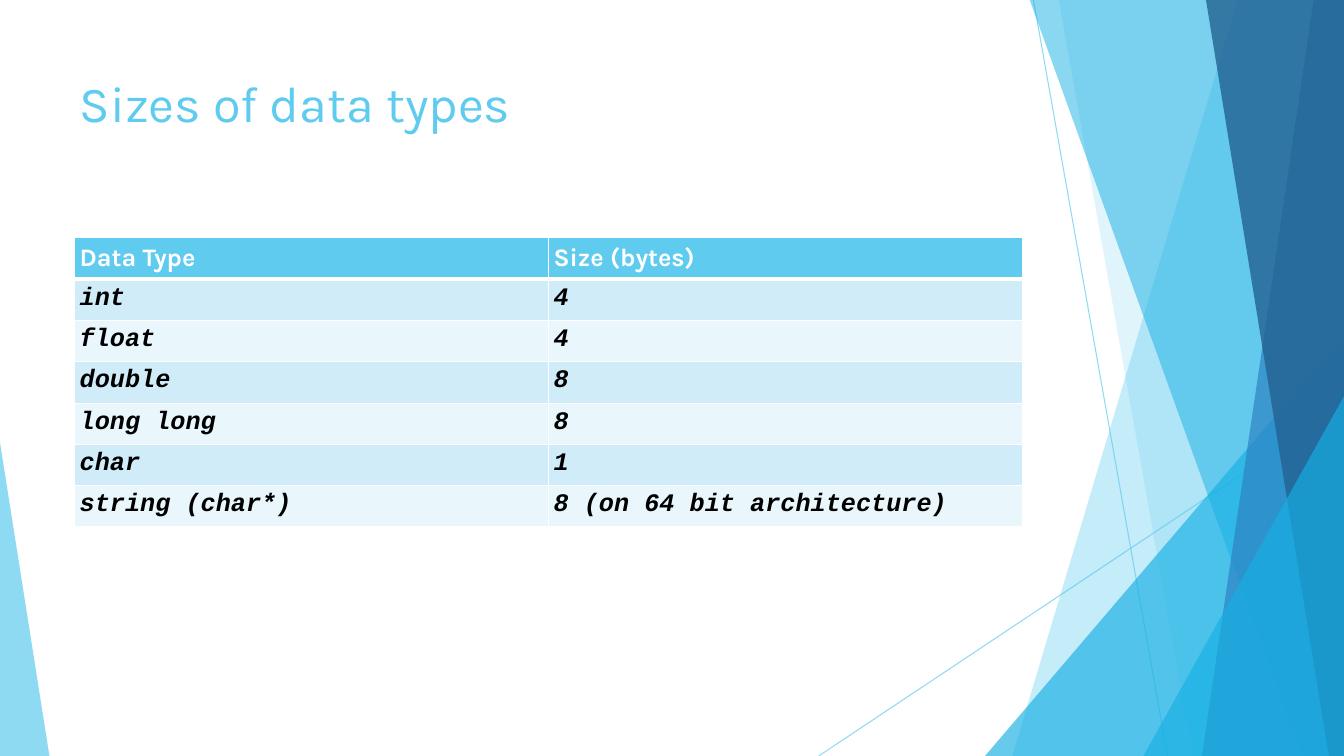
from dataclasses import dataclass

from pptx import Presentation
from pptx.dml.color import RGBColor
from pptx.enum.shapes import MSO_CONNECTOR
from pptx.enum.text import MSO_ANCHOR
from pptx.oxml.ns import qn
from pptx.oxml.xmlchemy import OxmlElement
from pptx.util import Pt

PX = 9144  # 100 px to the inch


@dataclass(frozen=True)
class Theme:
    sky: str = "5FCBEF"
    cyan: str = "17B0E4"
    blue: str = "2E83C3"
    navy: str = "236292"
    odd_row: str = "D1ECF9"
    even_row: str = "E9F6FC"
    white: str = "FFFFFF"
    black: str = "000000"
    sans: str = "Karla"
    mono: str = "Courier New"
    title_size: int = 36
    table_size: int = 18


theme = Theme()


def set_opacity(shape, percent):
    alpha = OxmlElement("a:alpha")
    alpha.set("val", str(percent * 1000))
    shape._element.spPr.find(".//" + qn("a:srgbClr")).append(alpha)


def style_run(run, font_name, size, color, bold=False, italic=False):
    run.font.name = font_name
    run.font.size = Pt(size)
    run.font.color.rgb = RGBColor.from_string(color)
    run.font.bold = bold
    run.font.italic = italic


prs = Presentation()
prs.slide_width, prs.slide_height = 1333 * PX, 750 * PX
slide = prs.slides.add_slide(prs.slide_layouts[6])
shapes = slide.shapes

# Thin crossing lines
for x1, y1, x2, y2 in [(1025, 0, 1158, 750), (1333, 403, 812, 750)]:
    ray = shapes.add_connector(
        MSO_CONNECTOR.STRAIGHT, x1 * PX, y1 * PX, x2 * PX, y2 * PX)
    ray.line.color.rgb = RGBColor.from_string(theme.sky)
    ray.line.width = Pt(0.75)
    set_opacity(ray, 70)
    ray._element.spPr.append(OxmlElement("a:effectLst"))

# Translucent facets: outline, colour, opacity in percent
right_edge = [(1333, -1), (1333, 750)]
facets = [
    ([(1228, -1), *right_edge, (1004, 750)], theme.sky, 36),
    ([(1050, -1), *right_edge, (1183, 750)], theme.sky, 20),
    ([(977, 750), (1333, 333), (1333, 750)], theme.cyan, 66),
    ([(1021, -1), *right_edge, (1291, 750)], theme.cyan, 50),
    ([(1303, -1), *right_edge, (1192, 750)], theme.blue, 70),
    ([(1196, -1), *right_edge, (1318, 750)], theme.navy, 80),
    ([(1134, 750), (1333, 393), (1333, 750)], theme.cyan, 66),
    ([(0, 750), (0, 439), (49, 750)], theme.sky, 70),
]
for outline, color, opacity in facets:
    builder = shapes.build_freeform(*outline[0], scale=PX)
    builder.add_line_segments(outline[1:], close=True)
    facet = builder.convert_to_shape()
    facet.shadow.inherit = False
    facet.fill.solid()
    facet.fill.fore_color.rgb = RGBColor.from_string(color)
    facet.line.fill.background()
    set_opacity(facet, opacity)

title = shapes.add_textbox(74 * PX, 67 * PX, 940 * PX, 144 * PX).text_frame
title.word_wrap = True
title.vertical_anchor = MSO_ANCHOR.TOP
title.margin_left = title.margin_right = 5 * PX
title.margin_top = title.margin_bottom = 5 * PX
title.text = "Sizes of data types"
style_run(title.paragraphs[0].runs[0], theme.sans, theme.title_size, theme.sky)

sizes = [
    ("Data Type", "Size (bytes)"),
    ("int", "4"),
    ("float", "4"),
    ("double", "8"),
    ("long long", "8"),
    ("char", "1"),
    ("string (char*)", "8 (on 64 bit architecture)"),
]
ROW_HEIGHT = 41
size_table = shapes.add_table(
    len(sizes), 2, 74 * PX, 236 * PX, 940 * PX, len(sizes) * ROW_HEIGHT * PX).table

for row, entries in enumerate(sizes):
    is_header = row == 0
    if is_header:
        row_fill, font_name, ink = theme.sky, theme.sans, theme.white
    else:
        row_fill = theme.odd_row if row % 2 else theme.even_row
        font_name, ink = theme.mono, theme.black
    # The rule under the header is heavier than the rest
    borders = {"L": 1, "R": 1, "T": 3 if row == 1 else 1, "B": 3 if is_header else 1}

    for col, entry in enumerate(entries):
        cell = size_table.cell(row, col)
        cell.margin_left = cell.margin_right = 5 * PX
        cell.margin_top = cell.margin_bottom = 5 * PX
        cell.text_frame.text = entry
        style_run(cell.text_frame.paragraphs[0].runs[0], font_name,
                  theme.table_size, ink, bold=True, italic=not is_header)

        cell_props = cell._tc.get_or_add_tcPr()
        for side, points in borders.items():
            border = OxmlElement(f"a:ln{side}")
            border.set("w", str(Pt(points)))
            border_fill = OxmlElement("a:solidFill")
            border_color = OxmlElement("a:srgbClr")
            border_color.set("val", theme.white)
            border_fill.append(border_color)
            border.append(border_fill)
            cell_props.append(border)
        cell.fill.solid()
        cell.fill.fore_color.rgb = RGBColor.from_string(row_fill)
        # Schema order: borders come before the fill
        cell_props.append(cell_props.find(qn("a:solidFill")))

prs.save("out.pptx")
